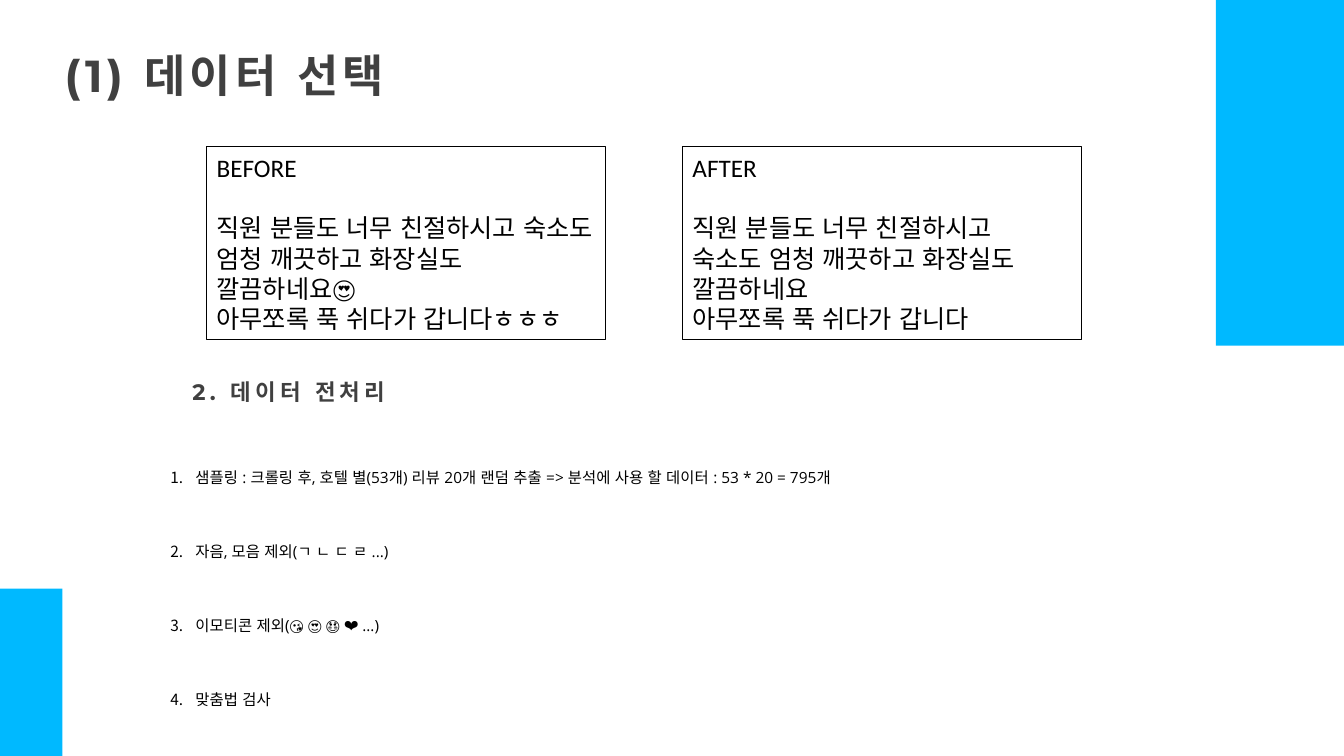
from pptx import Presentation
from pptx.dml.color import RGBColor
from pptx.enum.lang import MSO_LANGUAGE_ID
from pptx.enum.shapes import MSO_SHAPE
from pptx.enum.text import MSO_ANCHOR, MSO_AUTO_SIZE, PP_ALIGN
from pptx.oxml.xmlchemy import OxmlElement
from pptx.util import Inches, Pt

RECTANGLE = MSO_SHAPE.RECTANGLE
TOP, MIDDLE = MSO_ANCHOR.TOP, MSO_ANCHOR.MIDDLE
FIT_SHAPE = MSO_AUTO_SIZE.SHAPE_TO_FIT_TEXT
LEFT, JUSTIFY = PP_ALIGN.LEFT, PP_ALIGN.JUSTIFY
KOREAN = MSO_LANGUAGE_ID.KOREAN
TITLE_ONLY = 5

ACCENT, DARK, BLACK = "00B9FF", "404040", "000000"
HEADING = {"name": "Montserrat", "bold": True}
REVIEW = {"name": "Calibri", "size": Pt(18)}
STEP = {"name": "Open Sans", "size": Pt(11)}

BEFORE = [
    "BEFORE",
    "직원 분들도 너무 친절하시고 숙소도 엄청 깨끗하고 화장실도 깔끔하네요😍",
    "아무쪼록 푹 쉬다가 갑니다ㅎㅎㅎ",
]
AFTER = [
    "AFTER",
    "직원 분들도 너무 친절하시고",
    "숙소도 엄청 깨끗하고 화장실도",
    "깔끔하네요",
    "아무쪼록 푹 쉬다가 갑니다",
]
STEPS = [
    "샘플링 : 크롤링 후, 호텔 별(53개) 리뷰 20개 랜덤 추출 => 분석에 사용 할 데이터 : 53 * 20 = 795개",
    "자음, 모음 제외(ㄱ ㄴ ㄷ ㄹ ...)",
    "이모티콘 제외(😘 😍 😳 ❤️ …)",
    "맞춤법 검사",
]


def color(value):
    """Turn a hex string into a colour."""
    return RGBColor.from_string(value)


def place(shape, box):
    """Move and size a shape to a box given in inches."""
    shape.left, shape.top, shape.width, shape.height = map(Inches, box)


def add_span(para, text, formats, ink):
    """Add formatted Korean text to a paragraph."""
    span = para.add_run()
    span.text = text
    for name, value in formats.items():
        setattr(span.font, name, value)
    span.font.color.rgb = color(ink)
    span.font.language_id = KOREAN
    return span


def fill_paragraphs(frame, lines, formats, ink):
    """Write one paragraph per line and return the paragraphs."""
    frame.word_wrap = True
    for index, line in enumerate(lines):
        para = frame.add_paragraph() if index else frame.paragraphs[0]
        para.alignment = LEFT
        add_span(para, line, formats, ink)
    return frame.paragraphs


def add_block(page, box):
    """Add a plain accent block."""
    block = page.shapes.add_shape(RECTANGLE, *map(Inches, box))
    block.shadow.inherit = False
    block.fill.solid()
    block.fill.fore_color.rgb = color(ACCENT)
    block.line.fill.background()


def set_heading(shape, box, text, size, spacing):
    """Place a letter-spaced heading in its shape."""
    frame = shape.text_frame
    para = fill_paragraphs(frame, [text], {**HEADING, "size": Pt(size)}, DARK)[0]
    para.line_spacing = spacing
    para.runs[0].font._element.set("spc", "300")
    frame.vertical_anchor = TOP
    frame.auto_size = FIT_SHAPE
    place(shape, box)


def add_review(page, box, lines):
    """Add an outlined review with its label set apart."""
    review = page.shapes.add_shape(RECTANGLE, *map(Inches, box))
    review.shadow.inherit = False
    review.fill.background()
    review.line.color.rgb = color(BLACK)
    review.line.width = Pt(0.75)
    review.text_frame.vertical_anchor = MIDDLE
    label = fill_paragraphs(review.text_frame, lines, REVIEW, BLACK)[0]
    label.space_after = Pt(21.5)


def add_steps(page, box, lines):
    """Add the numbered preprocessing steps."""
    frame = page.shapes.add_textbox(*map(Inches, box)).text_frame
    paras = fill_paragraphs(frame, lines, STEP, BLACK)
    for para in paras:
        para.alignment = JUSTIFY
        para.line_spacing = 2.0
        properties = para._p.get_or_add_pPr()
        properties.set("marL", str(Inches(0.25)))
        properties.set("indent", str(Inches(-0.25)))
        if para is not paras[-1]:
            para.space_after = Pt(26.4)
        number = OxmlElement("a:buAutoNum")
        number.set("type", "arabicPeriod")
        properties.append(number)


def build_page(deck):
    """Build the data selection slide."""
    page = deck.slides.add_slide(deck.slide_layouts[TITLE_ONLY])
    add_block(page, (12.06, 0, 1.27, 3.43))
    add_block(page, (0, 5.84, 0.62, 1.66))
    set_heading(page.shapes.title, (0.54, 0.37, 6.44, 0.66), "(1) 데이터 선택", 32, 1.1)
    for index, lines in enumerate((BEFORE, AFTER)):
        add_review(page, (2.05 + 4.72 * index, 1.45, 3.96, 1.92), lines)
    box = (1.81, 3.7, 2.44, 0.37)
    subtitle = page.shapes.add_textbox(*map(Inches, box))
    set_heading(subtitle, box, "2. 데이터 전처리", 16, 1.0)
    add_steps(page, (1.59, 4.41, 11.12, 2.64), STEPS)


def main():
    """Create and save the deck."""
    deck = Presentation()
    deck.slide_width, deck.slide_height = Inches(13.33), Inches(7.5)
    build_page(deck)
    deck.save("out.pptx")


if __name__ == "__main__":
    main()
